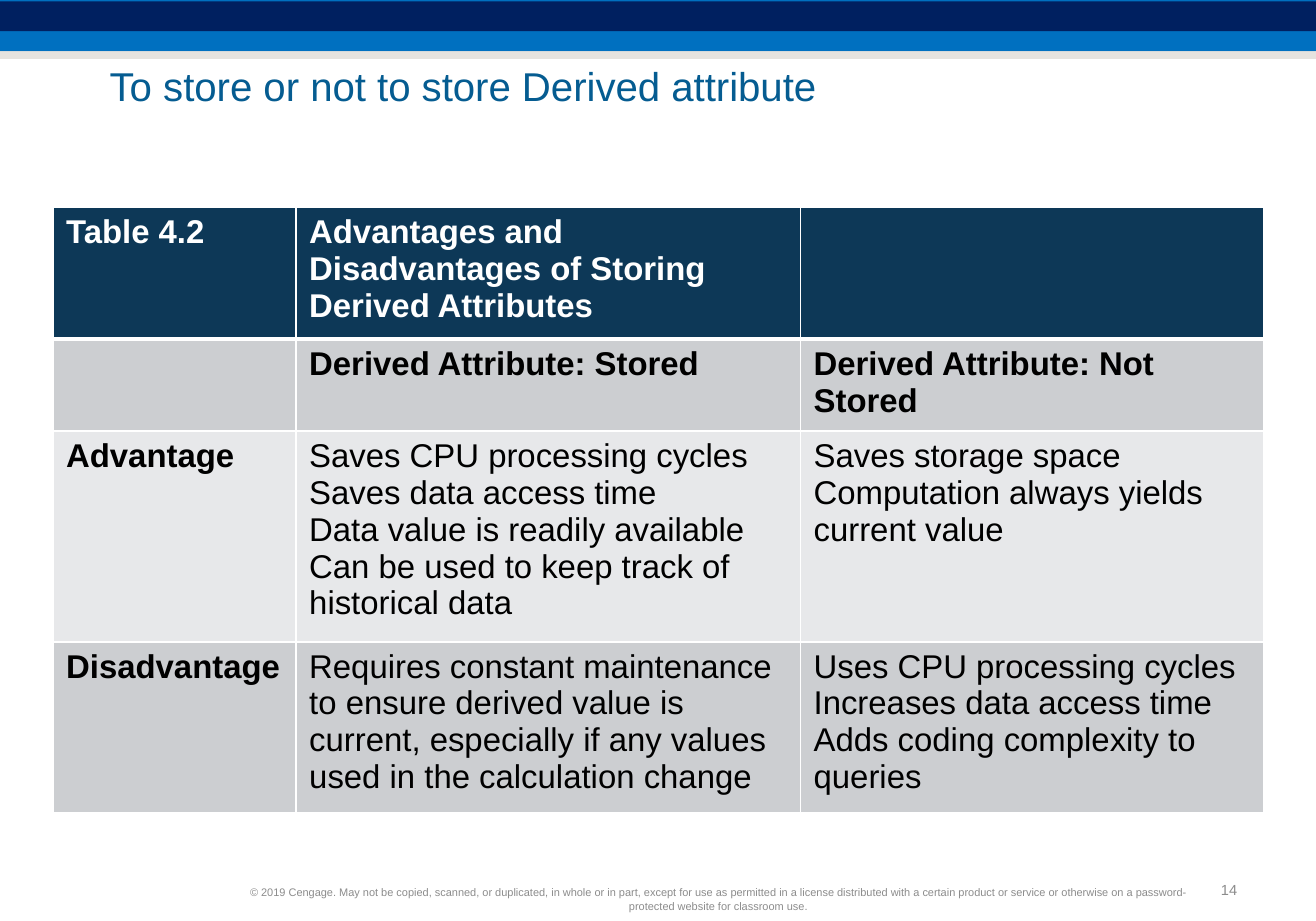
from lxml.etree import SubElement
from pptx import Presentation
from pptx.dml.color import RGBColor
from pptx.enum.shapes import MSO_SHAPE
from pptx.enum.text import MSO_ANCHOR, MSO_AUTO_SIZE, PP_ALIGN
from pptx.oxml.ns import qn
from pptx.util import Pt

WHITE, BLACK, GREY = "FFFFFF", "000000", "8C8C8C"
NAVY, DARK, LIGHT = "0D3857", "CCCED1", "E7E8EA"


def paint(target, color):
    """Set a solid fill from a hex string."""
    target.solid()
    target.fore_color.rgb = RGBColor.from_string(color)


class Deck:
    font = "Arial"

    def __init__(self, wide, high):
        self.prs = Presentation()
        self.prs.slide_width, self.prs.slide_height = Pt(wide), Pt(high)
        self.slide = self.prs.slides.add_slide(self.prs.slide_layouts[5])

    def add_text(self, para, text, size, color, bold=False):
        run = para.add_run()
        run.text = text
        run.font.name, run.font.size, run.font.bold = self.font, Pt(size), bold
        paint(run.font.fill, color)

    def band(self, top, high, color, alpha=None):
        shape = self.slide.shapes.add_shape(
            MSO_SHAPE.RECTANGLE, 0, Pt(top), self.prs.slide_width, Pt(high))
        shape.shadow.inherit = False
        shape.line.fill.background()
        paint(shape.fill, color)
        if alpha is not None:
            hue = shape._element.spPr.find(".//" + qn("a:srgbClr"))
            SubElement(hue, qn("a:alpha"), val=str(alpha * 1000))

    def title(self, text, left, top, wide, high, size, color):
        shape = self.slide.shapes.title
        shape.left, shape.top = Pt(left), Pt(top)
        shape.width, shape.height = Pt(wide), Pt(high)
        frame = shape.text_frame
        frame.margin_left = frame.margin_right = 0
        frame.margin_top = frame.margin_bottom = 0
        frame.auto_size = MSO_AUTO_SIZE.NONE
        frame.vertical_anchor = MSO_ANCHOR.MIDDLE
        para = frame.paragraphs[0]
        para.alignment, para.line_spacing = PP_ALIGN.LEFT, 0.85
        self.add_text(para, text, size, color)

    def label(self, text, left, top, wide, high, size, align):
        box = self.slide.shapes.add_textbox(
            Pt(left), Pt(top), Pt(wide), Pt(high))
        frame = box.text_frame
        frame.word_wrap = True
        frame.vertical_anchor = MSO_ANCHOR.MIDDLE
        para = frame.paragraphs[0]
        para.alignment = align
        self.add_text(para, text, size, GREY)

    def edge(self, cell, side, width):
        line = SubElement(cell._tc.get_or_add_tcPr(), qn("a:ln" + side),
                          w=str(Pt(width)))
        fill = SubElement(line, qn("a:solidFill"))
        SubElement(fill, qn("a:srgbClr"), val=WHITE)

    def table(self, rows, left, top, cols, highs, size):
        grid = self.slide.shapes.add_table(
            len(rows), len(cols), Pt(left), Pt(top),
            Pt(sum(cols)), Pt(sum(highs))).table
        for col, wide in zip(grid.columns, cols):
            col.width = Pt(wide)
        for r, (row, high) in enumerate(zip(rows, highs)):
            grid.rows[r].height = Pt(high)
            for c, lines in enumerate(row):
                cell = grid.cell(r, c)
                # The rule under the header is thicker than the rest
                for side in "LRTB":
                    thick = (r, side) in ((0, "B"), (1, "T"))
                    self.edge(cell, side, 3 if thick else 1)
                paint(cell.fill, NAVY if r == 0 else DARK if r % 2 else LIGHT)
                frame = cell.text_frame
                for i, text in enumerate(lines):
                    para = frame.add_paragraph() if i else frame.paragraphs[0]
                    self.add_text(para, text, size, BLACK if r else WHITE,
                                  bold=r < 2 or c == 0)


def main():
    deck = Deck(720, 504)

    # Page number and top bands
    deck.label("14", 659.5, 478, 24.5, 17.5, 8, PP_ALIGN.RIGHT)
    deck.band(0, 28, "0070C0")
    deck.band(0.7, 16.3, "002060")
    deck.band(28, 4.3, "CCC9C1", alpha=50)

    # Title
    deck.title("To store or not to store Derived attribute",
               60, 37.4, 632, 22.3, 22, "055C91")

    # Table: each cell is a list of paragraphs
    rows = [
        [["Table 4.2"],
         ["Advantages and Disadvantages of Storing Derived Attributes"], []],
        [[], ["Derived Attribute: Stored"], ["Derived Attribute: Not Stored"]],
        [["Advantage"],
         ["Saves CPU processing cycles",
          "Saves data access time",
          "Data value is readily available",
          "Can be used to keep track of historical data"],
         ["Saves storage space",
          "Computation always yields current value"]],
        [["Disadvantage"],
         ["Requires constant maintenance to ensure derived value is current, "
          "especially if any values used in the calculation change"],
         ["Uses CPU processing cycles",
          "Increases data access time",
          "Adds coding complexity to queries"]],
    ]
    deck.table(rows, 29, 113.5, [133, 276, 253.5], [67, 47.5, 107.5, 87.5], 18)

    # Copyright line
    deck.label("© 2019 Cengage. May not be copied, scanned, or duplicated, in "
               "whole or in part, except for use as permitted in a license "
               "distributed with a certain product or service or otherwise on "
               "a password-protected website for classroom use.",
               126, 483, 534, 18, 6, PP_ALIGN.CENTER)

    deck.prs.save("out.pptx")


if __name__ == "__main__":
    main()
